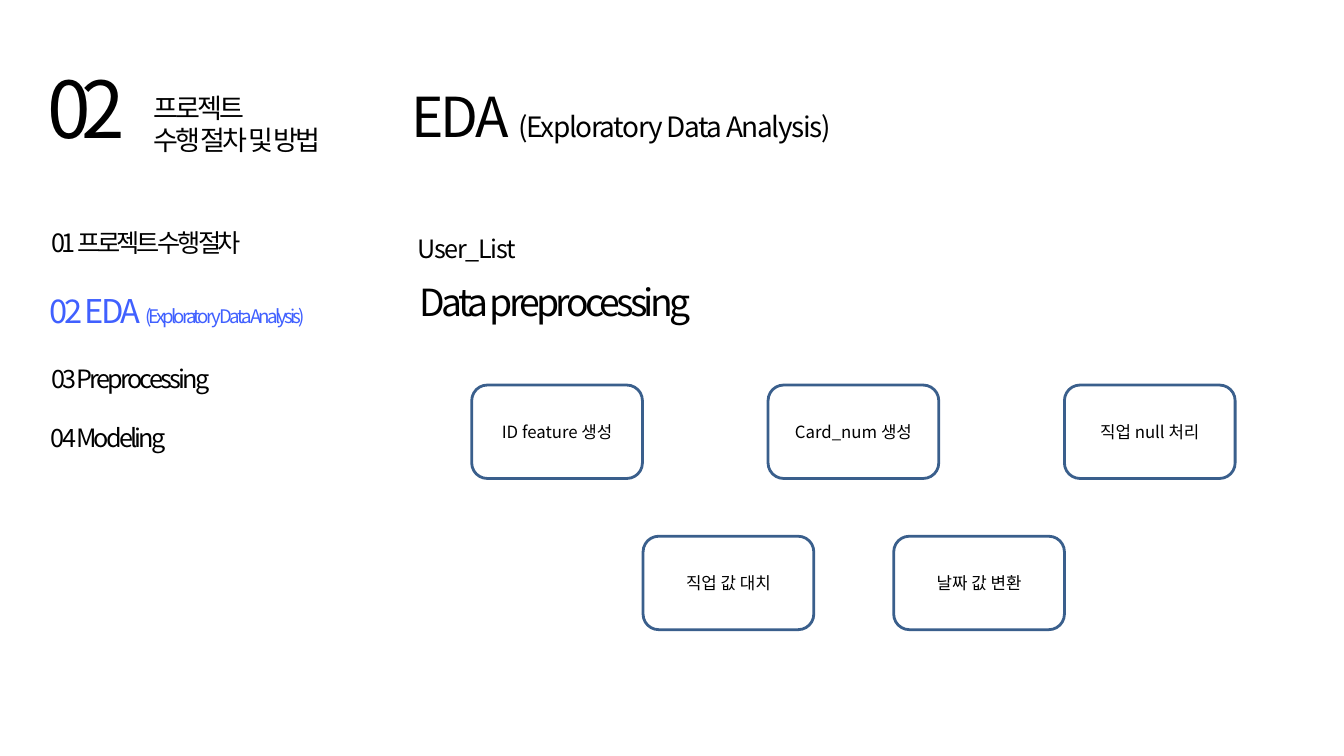
from pptx import Presentation
from pptx.dml.color import RGBColor
from pptx.enum import shapes, text
from pptx.util import Inches, Pt

FONT = "Noto Sans CJK KR"
COLORS = {"ink": "000000", "accent": "4060FF", "outline": "3A5F8C"}

TITLE = [("EDA ", 59, -3), ("(Exploratory Data Analysis)", 30, -1.5)]

# Each label: left, top, width, height, colour, paragraphs of (text, size, spacing) runs
LABELS = [
    (0.61, 0.85, 2.19, 1.51, "ink", [[("02", 84, -10)]]),
    (2.18, 1.31, 3.4, 1.08, "ink",
     [[("프로젝트", 29, -3)], [("수행 절차 및 방법", 29, -3)]]),
    (0.67, 3.34, 5.36, 0.56, "ink", [[("01 프로젝트 수행 절차", 27, -4)]]),
    (0.64, 4.28, 5.78, 0.69, "accent",
     [[("02 EDA ", 35, -3), ("(Exploratory Data Analysis)", 20, -3)]]),
    (0.67, 5.35, 5.78, 0.56, "ink", [[("03 Preprocessing", 27, -3)]]),
    (0.66, 6.24, 5.78, 0.56, "ink", [[("04 Modeling", 27, -3)]]),
    (6.12, 3.42, 5.63, 0.56, "ink", [[("User_List", 27, -1.5)]]),
    (6.15, 4.1, 5.63, 0.77, "ink", [[("Data preprocessing", 40, -4)]]),
]

# Each row of steps: left, top, distance between left edges, names
STEP_ROWS = [
    (7.02, 5.73, 4.41, ["ID feature 생성", "Card_num 생성", "직업 null 처리"]),
    (9.57, 7.98, 3.73, ["직업 값 대치", "날짜 값 변환"]),
]
STEP_WIDTH, STEP_HEIGHT = 2.54, 1.39


def color(name):
    return RGBColor.from_string(COLORS[name])


def write(shape, paragraphs, ink="ink", align=text.PP_ALIGN.LEFT,
          anchor=text.MSO_ANCHOR.TOP):
    frame = shape.text_frame
    frame.word_wrap = True
    frame.auto_size = text.MSO_AUTO_SIZE.NONE
    frame.vertical_anchor = anchor
    frame.margin_left = frame.margin_right = Inches(0.1)
    frame.margin_top = frame.margin_bottom = Inches(0.05)
    for index, runs in enumerate(paragraphs):
        paragraph = frame.add_paragraph() if index else frame.paragraphs[0]
        paragraph.alignment = align
        paragraph.space_before = Pt(0)
        for content, size, spacing in runs:
            run = paragraph.add_run()
            run.text = content
            run.font.size = Pt(size)
            run.font.name = FONT
            run.font.color.rgb = color(ink)
            properties = run.font._element
            properties.set("spc", str(round(spacing * 100)))
            east_asian = properties.makeelement(
                properties.find("{*}latin").tag.replace("latin", "ea"), {"typeface": FONT})
            properties.append(east_asian)


def place(shape, left, top, width, height):
    shape.left, shape.top = Inches(left), Inches(top)
    shape.width, shape.height = Inches(width), Inches(height)


def add_step(slide, name, left, top):
    step = slide.shapes.add_shape(
        shapes.MSO_SHAPE.ROUNDED_RECTANGLE, Inches(left), Inches(top),
        Inches(STEP_WIDTH), Inches(STEP_HEIGHT))
    step.shadow.inherit = False
    step.fill.background()
    step.line.color.rgb = color("outline")
    step.line.width = Pt(3)
    write(step, [[(name, 18, 0)]], align=text.PP_ALIGN.CENTER,
          anchor=text.MSO_ANCHOR.MIDDLE)


def main():
    presentation = Presentation()
    presentation.slide_width, presentation.slide_height = Inches(20), Inches(11.25)
    slide = presentation.slides.add_slide(presentation.slide_layouts[5])

    place(slide.shapes.title, 6.02, 1.17, 9.18, 1.09)
    write(slide.shapes.title, [TITLE])
    for left, top, width, height, ink, paragraphs in LABELS:
        label = slide.shapes.add_textbox(0, 0, 0, 0)
        place(label, left, top, width, height)
        write(label, paragraphs, ink)
    for left, top, pitch, names in STEP_ROWS:
        for column, name in enumerate(names):
            add_step(slide, name, left + column * pitch, top)

    presentation.save("out.pptx")


if __name__ == "__main__":
    main()
